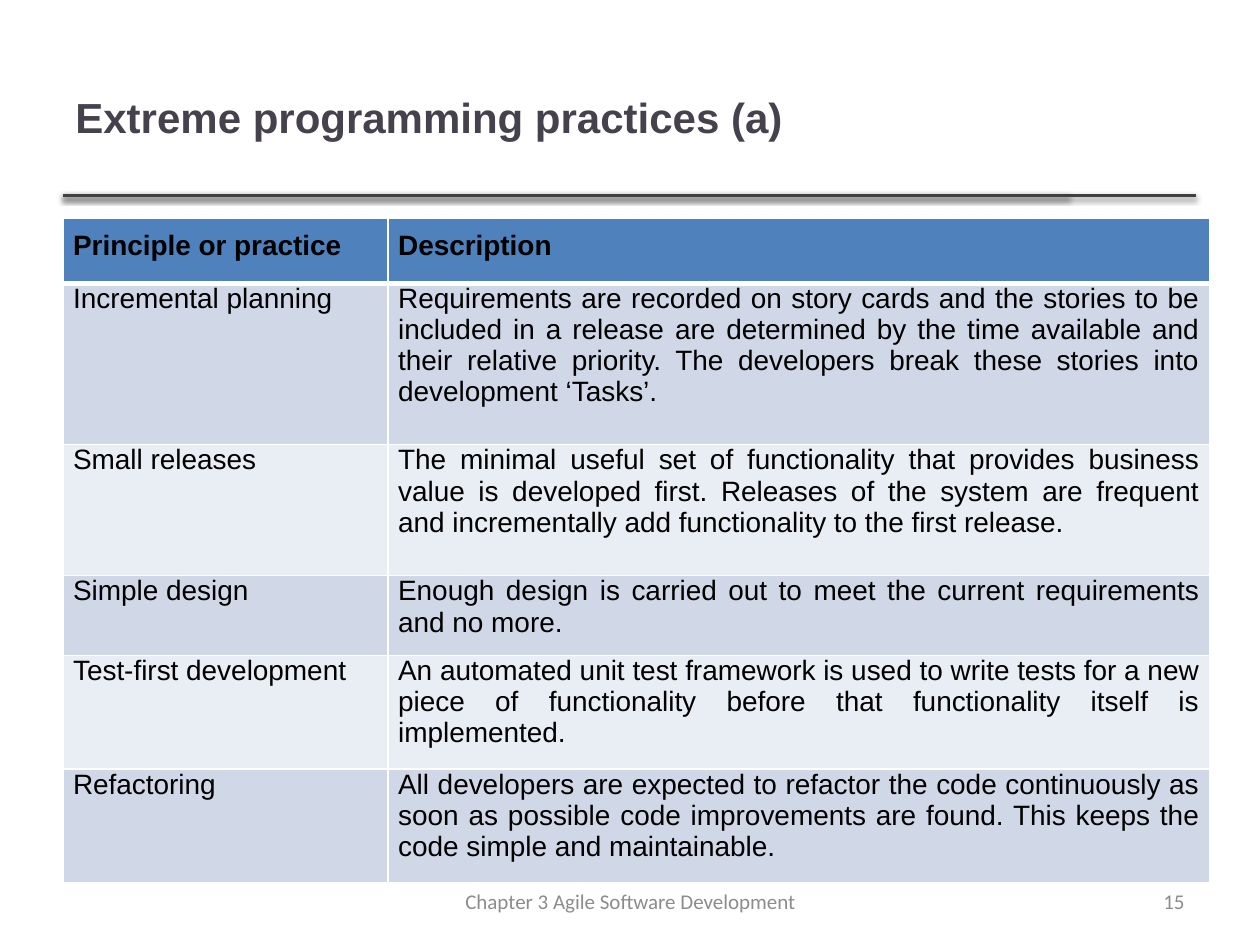
from dataclasses import dataclass

from lxml.etree import SubElement
from pptx import Presentation
from pptx.dml.color import RGBColor
from pptx.enum.shapes import MSO_CONNECTOR
from pptx.enum.text import MSO_ANCHOR, PP_ALIGN
from pptx.oxml import parse_xml
from pptx.oxml.ns import nsdecls, qn
from pptx.util import Inches, Pt


@dataclass(frozen=True)
class Theme:
    heading_font: str = "Arial"
    footer_font: str = "Calibri"
    title_size: int = 24
    table_size: int = 16
    footer_size: int = 12
    title: str = "46424D"
    footer: str = "8C8C8C"
    rule: str = "404040"
    text: str = "000000"
    border: str = "FFFFFF"
    header: str = "4F81BD"
    bands: tuple = ("D0D8E8", "E9EDF4")


THEME = Theme()
COLUMN_WIDTHS = (2.58, 6.52)
ROW_HEIGHTS = (0.52, 1.28, 1.04, 0.57, 0.81, 0.81)
PRACTICES = (
    ("Principle or practice", "Description"),
    ("Incremental planning",
     "Requirements are recorded on story cards and the stories to be included in a "
     "release are determined by the time available and their relative priority. The "
     "developers break these stories into development ‘Tasks’. "),
    ("Small releases",
     "The minimal useful set of functionality that provides business value is developed "
     "first. Releases of the system are frequent and incrementally add functionality to "
     "the first release."),
    ("Simple design ",
     "Enough design is carried out to meet the current requirements and no more."),
    ("Test-first development",
     "An automated unit test framework is used to write tests for a new piece of "
     "functionality before that functionality itself is implemented."),
    ("Refactoring",
     "All developers are expected to refactor the code continuously as soon as possible "
     "code improvements are found. This keeps the code simple and maintainable."),
)


def write(frame, text, font, size, color, align, bold=False):
    frame.text = text
    para = frame.paragraphs[0]
    para.alignment = align
    for span in para.runs:
        span.font.name = font
        span.font.size = Pt(size)
        span.font.bold = bold
        span.font.color.rgb = RGBColor.from_string(color)


def add_text(page, box, *style, **options):
    frame = page.shapes.add_textbox(*map(Inches, box)).text_frame
    frame.word_wrap = True
    frame.vertical_anchor = MSO_ANCHOR.MIDDLE
    write(frame, *style, **options)


def add_rule(page, left, top, width):
    rule = page.shapes.add_connector(
        MSO_CONNECTOR.STRAIGHT, Inches(left), Inches(top), Inches(left + width), Inches(top))
    rule.line.color.rgb = RGBColor.from_string(THEME.rule)
    rule.line.width = Pt(2)
    rule._element.spPr.append(parse_xml(
        f'<a:effectLst {nsdecls("a")}>'
        f'<a:outerShdw blurRad="{Pt(3.1)}" dist="{Pt(1.6)}" dir="5400000" rotWithShape="0">'
        '<a:srgbClr val="000000"><a:alpha val="38000"/></a:srgbClr>'
        '</a:outerShdw></a:effectLst>'))


def add_header(page, box):
    left, top, width, height = box
    title_width = 7.98
    for rule_width in (title_width, width):
        add_rule(page, left, top + height, rule_width)
    add_text(page, (left, top, title_width, height), "Extreme programming practices (a)",
             THEME.heading_font, THEME.title_size, THEME.title, PP_ALIGN.LEFT, bold=True)


def set_borders(cell, top, bottom):
    properties = cell._tc.get_or_add_tcPr()
    for side, width in (("L", 1), ("R", 1), ("T", top), ("B", bottom)):
        line = SubElement(properties, qn(f"a:ln{side}"), w=str(Pt(width)))
        fill = SubElement(line, qn("a:solidFill"))
        SubElement(fill, qn("a:srgbClr"), val=THEME.border)


def add_practices(page, box):
    table = page.shapes.add_table(
        len(PRACTICES), len(COLUMN_WIDTHS), *map(Inches, box)).table
    for column, width in zip(table.columns, COLUMN_WIDTHS):
        column.width = Inches(width)
    for index, (row, height, texts) in enumerate(zip(table.rows, ROW_HEIGHTS, PRACTICES)):
        row.height = Inches(height)
        is_header = index == 0
        color = THEME.header if is_header else THEME.bands[(index - 1) % 2]
        for cell, text in zip(row.cells, texts):
            cell.margin_left = cell.margin_right = Inches(0.08)
            cell.margin_top = Inches(0.1 if is_header else 0)
            cell.margin_bottom = Inches(0.1)
            set_borders(cell, top=3 if index == 1 else 1, bottom=3 if is_header else 1)
            cell.fill.solid()
            cell.fill.fore_color.rgb = RGBColor.from_string(color)
            write(cell.text_frame, text, THEME.heading_font, THEME.table_size,
                  THEME.text, PP_ALIGN.JUSTIFY, bold=is_header)


def add_footer(page, box):
    left, top, width, height = box
    style = (THEME.footer_font, THEME.footer_size, THEME.footer)
    number_width = 2.33
    add_text(page, (left, top, 3.17, height), "Chapter 3 Agile Software Development",
             *style, PP_ALIGN.CENTER)
    add_text(page, (left + width - number_width, top, number_width, height), "15",
             *style, PP_ALIGN.RIGHT)


def main():
    deck = Presentation()
    deck.slide_width, deck.slide_height = Inches(10), Inches(7.5)
    page = deck.slides.add_slide(deck.slide_layouts[6])
    add_header(page, (0.5, 0.3, 8.99, 1.25))
    add_footer(page, (3.42, 6.95, 6.08, 0.4))
    add_practices(page, (0.5, 1.73, sum(COLUMN_WIDTHS), sum(ROW_HEIGHTS)))
    deck.save("out.pptx")


if __name__ == "__main__":
    main()
